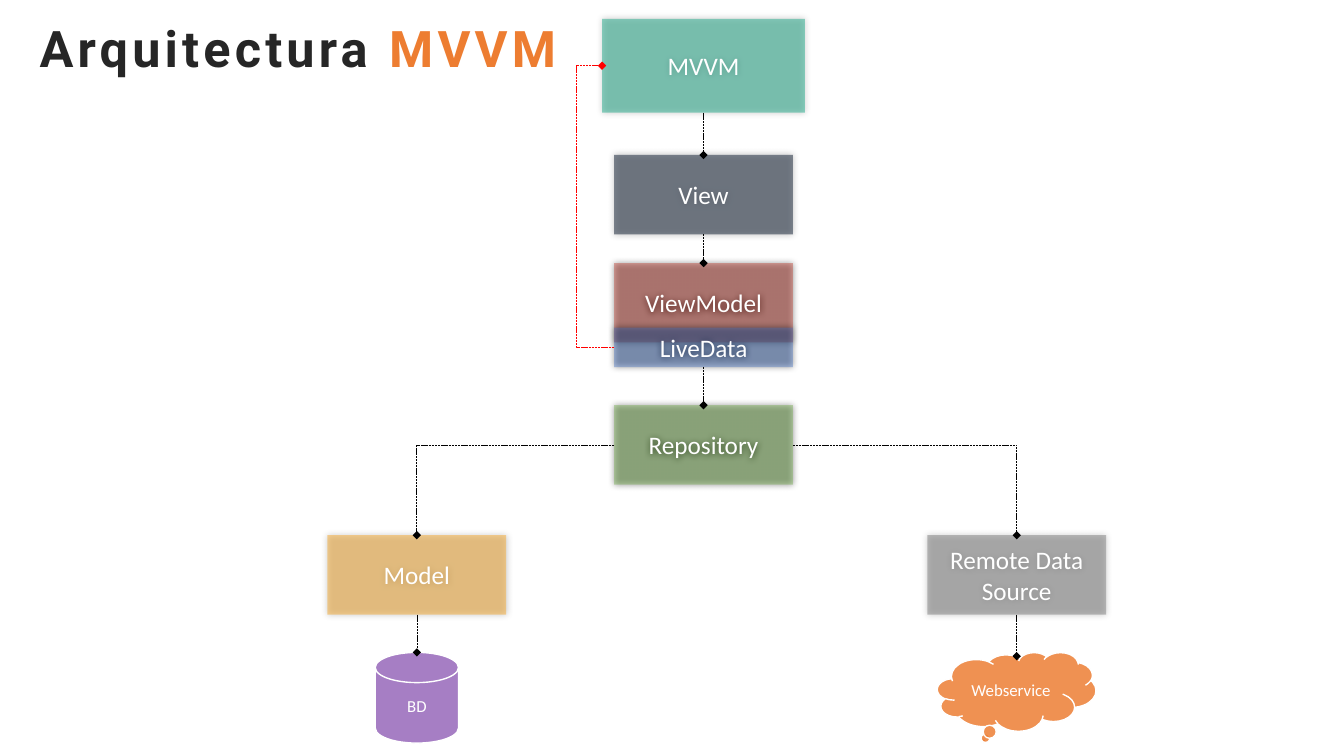
from pptx import Presentation
from pptx.dml.color import RGBColor
from pptx.enum.dml import MSO_LINE
from pptx.enum.shapes import MSO_CONNECTOR, MSO_SHAPE
from pptx.enum.text import MSO_ANCHOR, MSO_AUTO_SIZE, PP_ALIGN
from pptx.oxml import parse_xml
from pptx.oxml.ns import nsdecls, qn
from pptx.util import Inches, Pt

RECTANGLE = MSO_SHAPE.RECTANGLE
CLOUD = MSO_SHAPE.CLOUD_CALLOUT
DISK = MSO_SHAPE.FLOWCHART_MAGNETIC_DISK
STRAIGHT, ELBOW = MSO_CONNECTOR.STRAIGHT, MSO_CONNECTOR.ELBOW
DASH = MSO_LINE.SQUARE_DOT
CENTER, MIDDLE = PP_ALIGN.CENTER, MSO_ANCHOR.MIDDLE
GROW = MSO_AUTO_SIZE.SHAPE_TO_FIT_TEXT


def color(value):
    return RGBColor.from_string(value)


def drawing(markup):
    """Parse a DrawingML element; "{ns}" marks where the namespace goes."""
    return parse_xml(markup.replace("{ns}", nsdecls("a")))


class Diagram:
    """Places elements on a grid of 100 columns by 100 rows."""
    white, black, red = "FFFFFF", "000000", "FF0000"
    body_font, title_font = "Calibri", "Roboto"

    def __init__(self, presentation):
        self.slide = presentation.slides.add_slide(presentation.slide_layouts[6])
        self.column = presentation.slide_width / 100
        self.row = presentation.slide_height / 100

    def x(self, columns):
        return round(columns * self.column)

    def y(self, rows):
        return round(rows * self.row)

    def frame(self, center, top, width, height):
        return self.x(center - width / 2), self.y(top), self.x(width), self.y(height)

    def title(self, parts, *area):
        box = self.slide.shapes.add_textbox(*self.frame(*area))
        text_frame = box.text_frame
        text_frame.word_wrap = True
        text_frame.auto_size = GROW
        text_frame.vertical_anchor = MIDDLE
        paragraph = text_frame.paragraphs[0]
        paragraph.alignment = CENTER
        paragraph.line_spacing = Pt(25)
        font = paragraph.font
        font.name, font.size, font.bold = self.title_font, Pt(36), True
        for text, fill in parts:
            run = paragraph.add_run()
            run.text = text
            run.font.color.rgb = color(fill)
            run._r.get_or_add_rPr().set("spc", "300")

    def node(self, kind, text, fill, opacity, size, *area):
        shape = self.slide.shapes.add_shape(kind, *self.frame(*area))
        shape.shadow.inherit = False
        shape.fill.solid()
        shape.fill.fore_color.rgb = color(fill)
        properties = shape._element.spPr
        properties.find(qn("a:solidFill"))[0].append(
            drawing(f'<a:alpha {{ns}} val="{opacity * 1000}"/>'))
        text_frame = shape.text_frame
        text_frame.word_wrap = True
        text_frame.vertical_anchor = MIDDLE
        paragraph = text_frame.paragraphs[0]
        paragraph.text = text
        paragraph.alignment = CENTER
        font = paragraph.font
        font.name, font.size = self.body_font, Pt(size)
        font.color.rgb = color(self.white)
        return shape

    def block(self, text, fill, opacity, *area):
        """A borderless rectangle with a soft glow of shadow."""
        shape = self.node(RECTANGLE, text, fill, opacity, 18, *area)
        shape.line.fill.background()
        shape._element.spPr.find(qn("a:effectLst")).append(drawing(
            f'<a:outerShdw {{ns}} blurRad="{Pt(5)}" algn="ctr" rotWithShape="0">'
            f'<a:srgbClr val="{self.black}"><a:alpha val="40000"/></a:srgbClr>'
            '</a:outerShdw>'))
        return shape

    def symbol(self, kind, text, fill, opacity, *area):
        """A preset shape with a white outline."""
        shape = self.node(kind, text, fill, opacity, 12, *area)
        shape.line.color.rgb = color(self.white)
        shape.line.width = Pt(1)
        return shape

    def arrow(self, start, end, kind=STRAIGHT, stroke=black):
        connector = self.slide.shapes.add_connector(kind, *start, *end)
        connector.line.color.rgb = color(stroke)
        connector.line.width = Pt(0.5)
        connector.line.dash_style = DASH
        properties = connector._element.spPr
        properties.find(qn("a:ln")).append(drawing('<a:tailEnd {ns} type="diamond"/>'))
        properties.append(drawing("<a:effectLst {ns}/>"))
        return properties.find(qn("a:prstGeom"))

    def corner_arrow(self, start, end):
        """One turn: across, then down."""
        self.arrow(start, end, ELBOW).set("prst", "bentConnector2")

    def loop_arrow(self, start, end, turn):
        """Two turns, with the vertical part at the given x."""
        geometry = self.arrow(start, end, ELBOW, self.red)
        share = round((turn - start[0]) / (end[0] - start[0]) * 100000)
        geometry.get_or_add_avLst().append(
            drawing(f'<a:gd {{ns}} name="adj1" fmla="val {share}"/>'))


def top(shape):
    return shape.left + shape.width // 2, shape.top


def bottom(shape):
    return shape.left + shape.width // 2, shape.top + shape.height


def left(shape):
    return shape.left, shape.top + shape.height // 2


def right(shape):
    return shape.left + shape.width, shape.top + shape.height // 2


presentation = Presentation()
presentation.slide_width, presentation.slide_height = Inches(13.333), Inches(7.5)
diagram = Diagram(presentation)

# Title
diagram.title([("Arquitectura ", "262626"), ("MVVM", "ED7D31")], 22.16, 4.8, 41.8, 6.4)

# Layers, centred on three axes
SPINE, LOCAL, REMOTE = 52.35, 31.02, 75.65
BOX = 13.3, 10.5
SOURCES, STORES = 70.8, 86.3
mvvm = diagram.block("MVVM", "16A986", 47, SPINE, 2.5, 15.1, 12.4)
model = diagram.block("Model", "F6AA30", 50, LOCAL, SOURCES, *BOX)
view = diagram.block("View", "333F50", 60, SPINE, 20.5, *BOX)
view_model = diagram.block("ViewModel", "C1392B", 40, SPINE, 34.8, *BOX)
live_data = diagram.block("LiveData", "4472C4", 40, SPINE, 43.35, 13.3, 5.2)
repository = diagram.block("Repository", "70AD47", 40, SPINE, 53.6, *BOX)
remote = diagram.block("Remote Data Source", "808080", 50, REMOTE, SOURCES, *BOX)

# Data stores
webservice = diagram.symbol(CLOUD, "Webservice", "ED7D31", 84, REMOTE, STORES, 11.8, 10.4)
database = diagram.symbol(DISK, "BD", "7030A0", 62, LOCAL, STORES, 6.2, 12)

# Arrows
diagram.loop_arrow(left(live_data), left(mvvm), diagram.x(42.9))
for source in (model, remote):
    side = left if source is model else right
    diagram.corner_arrow(side(repository), top(source))
for upper, lower in ((mvvm, view), (view, view_model), (live_data, repository),
                     (model, database)):
    diagram.arrow(bottom(upper), top(lower))
cloud_edge = top(webservice)[0], diagram.y(86.8)
diagram.arrow(bottom(remote), cloud_edge)

presentation.save("out.pptx")
